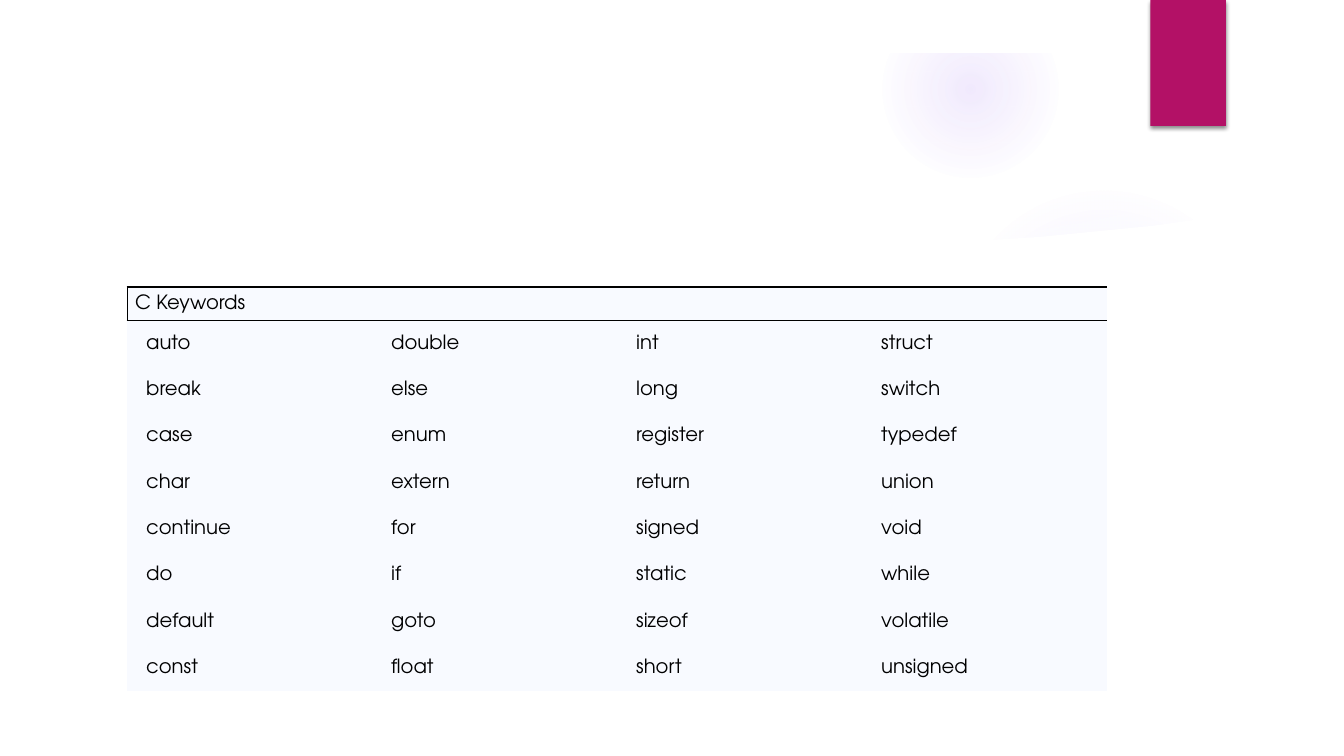
"""Build a slide listing the C keywords in a four-column table."""
import pptx
import pptx.util
import pptx.dml.color
import pptx.enum.shapes
import pptx.enum.text
import pptx.oxml
import pptx.oxml.ns
from dataclasses import dataclass

Inches = pptx.util.Inches
RGB = pptx.dml.color.RGBColor.from_string
SHAPE = pptx.enum.shapes.MSO_SHAPE
qn = pptx.oxml.ns.qn


@dataclass
class Theme:
    font: str = "TeX Gyre Adventor"
    size: int = 14
    text: str = "000000"
    white: str = "FFFFFF"
    cell: str = "F8FAFF"
    accent: str = "B31166"
    glow: str = "9B6BF2"


theme = Theme()


def xml(body):
    """Parse a DrawingML element written with the a: prefix."""
    head, tail = body.split(">", 1)
    slash = "/" if head.endswith("/") else ""
    return pptx.oxml.parse_xml(f"{head.rstrip('/')} {pptx.oxml.ns.nsdecls('a')}{slash}>{tail}")


def paint(sp, color):
    """Give a shape a plain fill with no line or shadow."""
    sp.shadow.inherit = False
    sp.fill.solid()
    sp.fill.fore_color.rgb = RGB(color)
    sp.line.fill.background()


prs = pptx.Presentation()
prs.slide_width, prs.slide_height = Inches(13.33), Inches(7.5)
s = prs.slides.add_slide(prs.slide_layouts[6])

glows = [
    (9.41, 1.83, 3.08, [(0, 7), (36, 6), (69, 0)]),
    (8.75, 0.01, 1.75, [(0, 14), (36, 7), (73, 0)]),
]
for left, top, size, stops in glows:
    sp = s.shapes.add_shape(SHAPE.OVAL, Inches(left), Inches(top), Inches(size), Inches(size))
    paint(sp, theme.glow)
    gs = "".join(
        f'<a:gs pos="{pos * 1000}"><a:srgbClr val="{theme.glow}"><a:alpha val="{alpha * 1000}"/></a:srgbClr></a:gs>'
        for pos, alpha in stops
    )
    grad = xml(
        f'<a:gradFill rotWithShape="1"><a:gsLst>{gs}</a:gsLst><a:path path="circle">'
        '<a:fillToRect l="50000" t="50000" r="50000" b="50000"/></a:path></a:gradFill>'
    )
    fill = sp.fill._xPr.find(qn("a:solidFill"))
    fill.getparent().replace(fill, grad)

strip = [(9.34, 2.5), (9.3, 2.43), (10.1, 2.32), (10.98, 2.16), (11.9, 1.94),
         (12.83, 1.66), (12.89, 2.14), (11.5, 2.33)]
panel = [(0.5, 2.04), (1.59, 2.18), (3.21, 2.33), (5.11, 2.44), (7.08, 2.48), (9.21, 2.42),
         (10.32, 2.35), (11.44, 2.24), (12.84, 2.04), (12.84, 7), (0.5, 7)]
for points, alpha in [(strip, 20), (panel, 100)]:
    emu = [(Inches(x), Inches(y)) for x, y in points]
    fb = s.shapes.build_freeform(*emu[0])
    fb.add_line_segments(emu[1:], close=True)
    sp = fb.convert_to_shape()
    paint(sp, theme.white)
    sp.fill._xPr.find(qn("a:solidFill"))[0].append(xml(f'<a:alpha val="{alpha * 1000}"/>'))

frame = s.shapes.add_shape(SHAPE.FRAME, 0, 0, prs.slide_width, prs.slide_height)
frame.adjustments[0] = 0.07
paint(frame, theme.white)

tab = s.shapes.add_shape(SHAPE.RECTANGLE, Inches(11.41), 0, Inches(0.75), Inches(1.25))
paint(tab, theme.accent)
tab._element.spPr.find(qn("a:effectLst")).append(xml(
    '<a:outerShdw blurRad="38100" dist="25400" dir="5400000" rotWithShape="0">'
    '<a:srgbClr val="000000"><a:alpha val="45000"/></a:srgbClr></a:outerShdw>'
))

rows = [
    ["C Keywords", "", "", ""],
    ["auto", "double", "int", "struct"],
    ["break", "else", "long", "switch"],
    ["case", "enum", "register", "typedef"],
    ["char", "extern", "return", "union"],
    ["continue", "for", "signed", "void"],
    ["do", "if", "static", "while"],
    ["default", "goto", "sizeof", "volatile"],
    ["const", "float", "short", "unsigned"],
]
header_borders = [{"L": 0.75, "T": 1.5, "B": 0.75}, {"T": 1.5}, {"T": 1.5}, {"R": 0.75, "T": 1.5}]
gf = s.shapes.add_table(len(rows), 4, Inches(1.26), Inches(2.85), Inches(9.72), Inches(4.01))
table = gf.table
table.first_row = table.horz_banding = False
table._tbl.tblPr.find(qn("a:tableStyleId")).text = "{2D5ABB26-0587-4C30-8999-92F81FD0307C}"
for col in table.columns:
    col.width = Inches(2.43)

for i, words in enumerate(rows):
    table.rows[i].height = Inches(0.46 if i else 0.33)
    side, edge = (0.19, 0.1) if i else (0.08, 0.04)
    for j, word in enumerate(words):
        cell = table.cell(i, j)
        cell.margin_left = cell.margin_right = Inches(side)
        cell.margin_top = cell.margin_bottom = Inches(edge)
        cell.vertical_anchor = pptx.enum.text.MSO_ANCHOR.MIDDLE
        cell.text_frame.text = word
        font = cell.text_frame.paragraphs[0].font
        for r in cell.text_frame.paragraphs[0].runs:
            font = r.font
        font.name, font.size = theme.font, pptx.util.Pt(theme.size)
        font.color.rgb = RGB(theme.text)
        cell.fill.solid()
        cell.fill.fore_color.rgb = RGB(theme.cell)
        borders = {} if i else header_borders[j]
        for n, name in enumerate(k for k in "LRTB" if k in borders):
            width = pptx.util.Pt(borders[name])
            cell._tc.tcPr.insert(n, xml(
                f'<a:ln{name} w="{width}"><a:solidFill><a:srgbClr val="{theme.text}"/></a:solidFill></a:ln{name}>'
            ))
table.cell(0, 0).merge(table.cell(0, 3))

prs.save("out.pptx")
